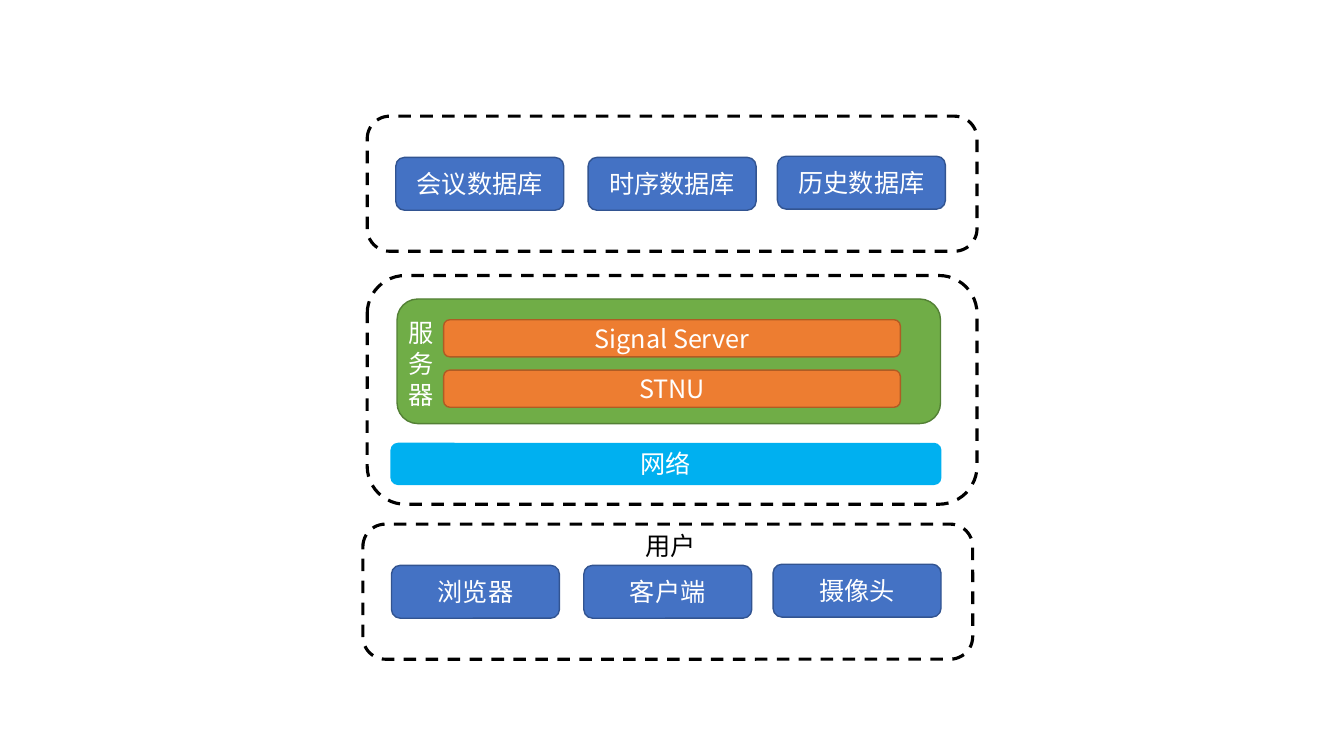
"""Draw a three-tier meeting system architecture: databases, server and users."""
from pptx import Presentation
from pptx import util as u
from pptx.dml import color
from pptx.enum import dml, shapes, text
from pptx.oxml import ns
from lxml import etree

FONT = "Noto Sans CJK JP"
BLACK = color.RGBColor(0x00, 0x00, 0x00)
WHITE = color.RGBColor(0xFF, 0xFF, 0xFF)
BLUE = color.RGBColor(0x44, 0x72, 0xC4)
DARK_BLUE = color.RGBColor(0x32, 0x54, 0x91)
CYAN = color.RGBColor(0x00, 0xB0, 0xF0)
GREEN = color.RGBColor(0x70, 0xAD, 0x47)
DARK_GREEN = color.RGBColor(0x53, 0x80, 0x35)
ORANGE = color.RGBColor(0xED, 0x7D, 0x31)
DARK_ORANGE = color.RGBColor(0xAF, 0x5C, 0x24)

presentation = Presentation()
presentation.slide_width = u.Pt(960)
presentation.slide_height = u.Pt(540)
slide = presentation.slides.add_slide(presentation.slide_layouts[6])


def write(shape, words, font_color):
    """Add one run in the slide's font and return its paragraph."""
    shape.text_frame.word_wrap = True
    paragraph = shape.text_frame.paragraphs[0]
    run = paragraph.add_run()
    run.text = words
    run.font.size = u.Pt(18)
    run.font.name = FONT
    run.font.color.rgb = font_color
    east_asian = etree.SubElement(run.font._element, ns.qn("a:ea"))
    east_asian.set("typeface", FONT)
    return paragraph


def add_box(left, top, width, height, fill, line, words=""):
    """Add a rounded box; without a fill it is a dashed frame."""
    shape = slide.shapes.add_shape(
        shapes.MSO_SHAPE.ROUNDED_RECTANGLE,
        u.Pt(left), u.Pt(top), u.Pt(width), u.Pt(height))
    shape.shadow.inherit = False
    shape.line.color.rgb = line
    if fill is None:
        shape.fill.background()
        shape.line.width = u.Pt(2.25)
        shape.line.dash_style = dml.MSO_LINE.DASH
    else:
        shape.fill.solid()
        shape.fill.fore_color.rgb = fill
        shape.line.width = u.Pt(1)
    if words:
        shape.text_frame.vertical_anchor = text.MSO_ANCHOR.MIDDLE
        write(shape, words, WHITE).alignment = text.PP_ALIGN.CENTER


tiers = [
    (262.3, 83, ["会议数据库", "时序数据库", "历史数据库"]),
    (259.2, 374.4, ["浏览器", "客户端", "摄像头"]),
]
item_offsets = [(20.4, 29.4), (157.8, 29.4), (293, 28.6)]
for tier_left, tier_top, items in tiers:
    add_box(tier_left, tier_top, 435.6, 96.5, None, BLACK)
    for item, (across, down) in zip(items, item_offsets):
        add_box(tier_left + across, tier_top + down, 120, 37.8, BLUE, DARK_BLUE, item)

add_box(262.3, 196.8, 435.6, 163.4, None, BLACK)
add_box(279.4, 316.8, 392.6, 29.2, CYAN, CYAN, "网络")
add_box(283.6, 213.6, 388.2, 89, GREEN, DARK_GREEN)
for row, service in enumerate(["Signal Server", "STNU"]):
    add_box(316.9, 228.4 + 36 * row, 326.2, 26.5, ORANGE, DARK_ORANGE, service)

labels = [
    ("服务器", 284.4, 221.8, 21.6, 72.7, WHITE),
    ("用户", 454, 373.7, 52, 29, BLACK),
]
for words, left, top, width, height, font_color in labels:
    label = slide.shapes.add_textbox(u.Pt(left), u.Pt(top), u.Pt(width), u.Pt(height))
    label.text_frame.margin_top = u.Pt(5)
    write(label, words, font_color).line_spacing = u.Pt(21.8)

presentation.save("out.pptx")
